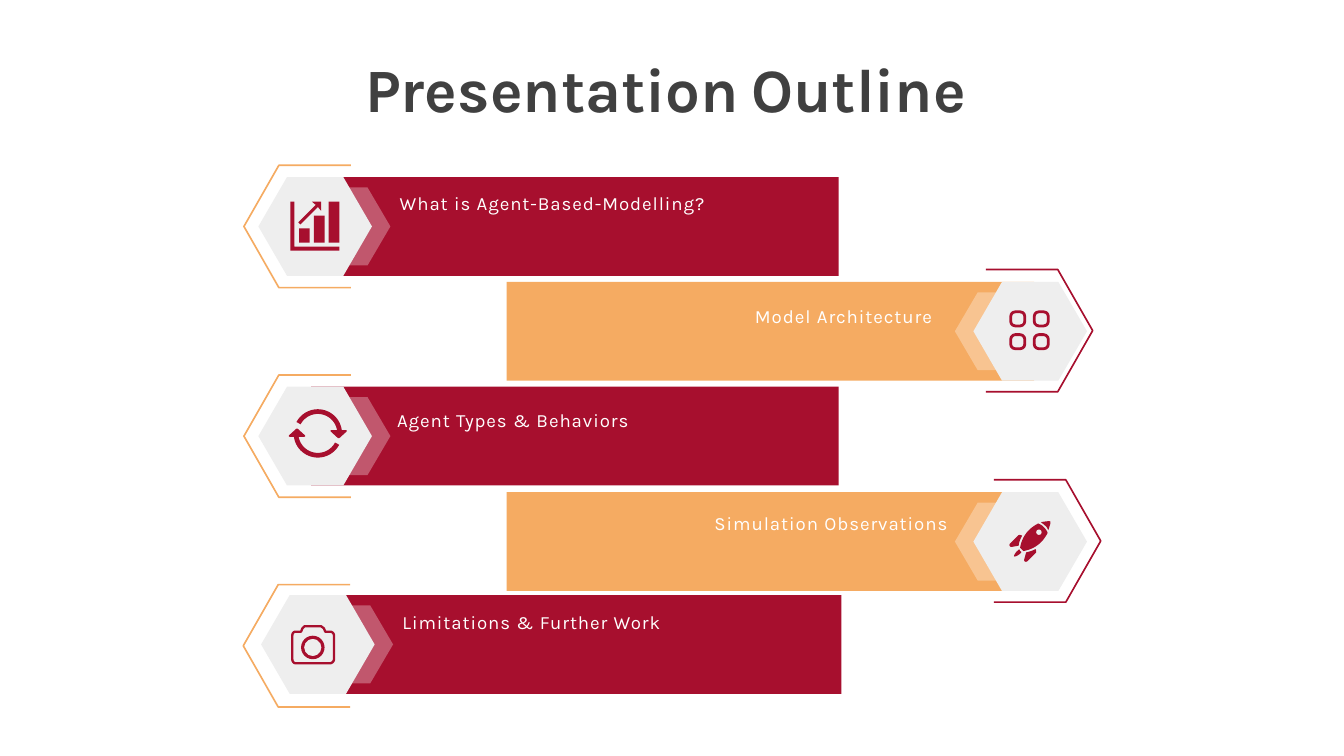
from math import cos, radians, sin

from lxml.etree import SubElement
from pptx import Presentation
from pptx.dml.color import RGBColor
from pptx.enum.shapes import MSO_SHAPE as Preset
from pptx.enum.text import MSO_AUTO_SIZE as AutoSize, PP_ALIGN as Align
from pptx.oxml.ns import qn
from pptx.util import Inches, Pt

RED, ORANGE, GRAY, WHITE, DARK = "A70F2E", "F5AB62", "EEEEEE", "FFFFFF", "404040"
TITLE = [("Presentation", 66), (" ", 50), ("Outline", 66)]
LABEL_FORMAT = {"name": "Karla"}
TITLE_FORMAT = {"name": "Karla", "bold": True}

ROWS = [
    {"text": "What is Agent-Based-Modelling?", "label": (5.85, 2.81), "side": 1,
     "hexagon": (4.69, 3.37), "tip": (3.63, 3.37)},
    {"text": "Model Architecture", "label": (7.77, 4.48), "side": -1,
     "hexagon": (15.33, 4.93), "tip": (16.26, 4.92)},
    {"text": "Agent Types & Behaviors", "label": (5.81, 6.04), "side": 1,
     "hexagon": (4.69, 6.49), "tip": (3.63, 6.49)},
    {"text": "Simulation Observations", "label": (8, 7.57), "side": -1,
     "hexagon": (15.33, 8.06), "tip": (16.38, 8.05)},
    {"text": "Limitations & Further Work", "label": (5.89, 9.04), "side": 1,
     "hexagon": (4.73, 9.59), "tip": (3.62, 9.61)},
]
BAR = (7.85, 1.47)
HEXAGON = (1.69, 1.47)
CHEVRON = [(0.39, -0.58), (0.39, 0.58), (0.78, 0.58), (1.12, 0), (0.78, -0.58)]
BRACKET = [(1.59, -0.91), (0.52, -0.91), (0, 0), (0.52, 0.91), (1.59, 0.91)]

GROWTH_BARS = [(4.45, 3.4), (4.67, 3.21), (4.89, 3)]
GROWTH_BASE = 3.61
GROWTH_OUTLINES = [
    [(4.38, 3), (4.32, 3), (4.32, 3.73), (5.05, 3.73), (5.05, 3.67), (4.38, 3.67)],
    [(4.78, 3.14), (4.78, 3), (4.64, 3), (4.7, 3.05), (4.44, 3.31), (4.47, 3.34), (4.73, 3.08)],
]
ROCKET = [
    [(15.63, 7.76), (15.62, 7.75, 15.55, 7.76, 15.49, 7.77), (15.51, 7.79, 15.53, 7.8, 15.55, 7.82),
     (15.58, 7.84, 15.59, 7.87, 15.6, 7.89), (15.62, 7.83, 15.64, 7.77, 15.63, 7.76)],
    [(15.21, 7.97), (15.18, 7.96), (15.17, 7.96, 15.16, 7.96, 15.15, 7.97), (15.03, 8.09),
     (15.01, 8.11, 15.03, 8.14, 15.05, 8.14), (15.16, 8.12), (15.16, 8.08, 15.18, 8.03, 15.21, 7.97)],
    [(15.41, 8.17), (15.36, 8.2, 15.31, 8.21, 15.27, 8.22), (15.24, 8.33),
     (15.24, 8.36, 15.27, 8.37, 15.29, 8.35), (15.41, 8.23), (15.42, 8.23, 15.42, 8.21, 15.42, 8.2)],
    [(15.45, 7.79), (15.41, 7.81, 15.36, 7.84, 15.31, 7.89), (15.22, 7.98, 15.19, 8.09, 15.18, 8.15),
     (15.23, 8.2), (15.29, 8.19, 15.4, 8.16, 15.49, 8.07), (15.54, 8.02, 15.57, 7.97, 15.59, 7.93),
     (15.58, 7.9, 15.56, 7.87, 15.53, 7.84), (15.51, 7.82, 15.48, 7.8, 15.45, 7.79)],
    [(15.18, 8.2), (15.17, 8.18, 15.17, 8.16, 15.15, 8.19), (15.12, 8.21, 15.08, 8.27, 15.09, 8.28),
     (15.11, 8.29, 15.16, 8.26, 15.19, 8.23), (15.21, 8.21, 15.19, 8.21, 15.18, 8.2)],
]
CAMERA = [
    (4.4, 9.4), (4.48, 9.4), (4.5, 9.35), (4.53, 9.32), (4.78, 9.32), (4.82, 9.35), (4.84, 9.4),
    (4.91, 9.4), (4.94, 9.4, 4.97, 9.42, 4.97, 9.46), (4.97, 9.81), (4.97, 9.84, 4.94, 9.87, 4.91, 9.87),
    (4.4, 9.87), (4.37, 9.87, 4.35, 9.84, 4.35, 9.81), (4.35, 9.46), (4.35, 9.42, 4.37, 9.4, 4.4, 9.4),
]
CYCLE_CENTER = (4.73, 6.45)
CYCLE_HEAD = [(0.43, -0.05), (0.43, -0.03), (0.32, 0.07), (0.3, 0.07), (0.19, -0.03), (0.19, -0.05)]


def color(value):
    """Turn a hex string into a colour."""
    return RGBColor.from_string(value)


def paint(shape, fill=None, line=None, weight=1):
    """Set the fill and line of a shape and drop its shadow."""
    shape.shadow.inherit = False
    if fill:
        shape.fill.solid()
        shape.fill.fore_color.rgb = color(fill)
    else:
        shape.fill.background()
    if line:
        shape.line.color.rgb = color(line)
        shape.line.width = Pt(weight)
    else:
        shape.line.fill.background()
    return shape


def preset(kind, left, top, width, height, adjust=None, **style):
    """Add a painted preset shape."""
    shape = slide.shapes.add_shape(kind, Inches(left), Inches(top), Inches(width), Inches(height))
    if adjust is not None:
        shape.adjustments[0] = adjust
    return paint(shape, **style)


def flatten(steps, pieces=8):
    """Turn points and Bezier steps into plain points."""
    points = []
    for step in steps:
        if len(step) == 2:
            points.append(step)
            continue
        controls = [points[-1], step[:2], step[2:4], step[4:]]
        for t in (i / pieces for i in range(1, pieces + 1)):
            weights = ((1 - t) ** 3, 3 * t * (1 - t) ** 2, 3 * t * t * (1 - t), t ** 3)
            points.append(tuple(sum(w * p[axis] for w, p in zip(weights, controls)) for axis in (0, 1)))
    return points


def outline(steps, close=True, **style):
    """Add a painted freeform through the given steps."""
    points = [(Inches(x), Inches(y)) for x, y in flatten(steps)]
    builder = slide.shapes.build_freeform(*points[0])
    builder.add_line_segments(points[1:], close=close)
    return paint(builder.convert_to_shape(), **style)


def place(points, origin, side=1, flip=1):
    """Move points to an origin, mirrored where asked."""
    return [(origin[0] + side * x, origin[1] + flip * y) for x, y in points]


def arc(radius, start, end):
    """List points along an arc given in degrees."""
    angles = [radians(start + (end - start) * i / 24) for i in range(25)]
    return [(radius * cos(angle), radius * sin(angle)) for angle in angles]


def text_box(left, top, width, height, runs, align, ink, formats, spacing=0):
    """Add a one-line text box made of sized runs."""
    box = slide.shapes.add_textbox(Inches(left), Inches(top), Inches(width), Inches(height))
    frame = box.text_frame
    frame.word_wrap, frame.auto_size = True, AutoSize.SHAPE_TO_FIT_TEXT
    paragraph = frame.paragraphs[0]
    paragraph.alignment = align
    for text, size in runs:
        run = paragraph.add_run()
        run.text = text
        for name, value in {**formats, "size": Pt(size)}.items():
            setattr(run.font, name, value)
        run.font.color.rgb = color(ink)
        if spacing:
            run._r.get_or_add_rPr().set("spc", str(spacing * 100))


def draw_row(row):
    """Draw one bar with its chevron, bracket, hexagon and label."""
    side, (x, y) = row["side"], row["hexagon"]
    main, accent = (RED, ORANGE) if side == 1 else (ORANGE, RED)
    width, height = BAR
    left = x - 0.06 if side == 1 else x + 0.06 - width
    preset(Preset.RECTANGLE, left, y - height / 2, width, height, fill=main)
    chevron = outline(place(CHEVRON, (x, y), side), fill=WHITE)
    SubElement(chevron.element.spPr.find(".//" + qn("a:srgbClr")), qn("a:alpha"), val="30000")
    outline(place(BRACKET, row["tip"], side), close=False, line=accent, weight=1.75)
    width, height = HEXAGON
    preset(Preset.HEXAGON, x - width / 2, y - height / 2, width, height, 0.29, fill=GRAY)
    align = Align.LEFT if side == 1 else Align.RIGHT
    text_box(*row["label"], 6.2, 0.44, [(row["text"], 20)], align, WHITE, LABEL_FORMAT, 1)


def draw_icons():
    """Draw the five icons on the hexagons."""
    for left, top in GROWTH_BARS:
        preset(Preset.RECTANGLE, left, top, 0.16, GROWTH_BASE - top, fill=RED)
    for steps in GROWTH_OUTLINES + ROCKET:
        outline(steps, fill=RED)
    preset(Preset.OVAL, 15.42, 7.88, 0.08, 0.08, fill=GRAY)
    for left in (15.04, 15.39):
        for top in (4.64, 4.98):
            preset(Preset.ROUNDED_RECTANGLE, left, top, 0.21, 0.21, 0.33, line=RED, weight=3)
    arrow = arc(0.36, -152, -8) + CYCLE_HEAD + arc(0.29, -10, -152)
    for turn in (1, -1):
        outline(place(arrow, CYCLE_CENTER, turn, turn), fill=RED)
    outline(CAMERA, line=RED, weight=2.5)
    preset(Preset.DONUT, 4.48, 9.46, 0.35, 0.35, 0.13, fill=RED)


presentation = Presentation()
presentation.slide_width, presentation.slide_height = Inches(20), Inches(11.25)
slide = presentation.slides.add_slide(presentation.slide_layouts[6])
text_box(4.96, 0.71, 9.89, 1.21, TITLE, Align.CENTER, DARK, TITLE_FORMAT)
for row in ROWS:
    draw_row(row)
draw_icons()
presentation.save("out.pptx")
